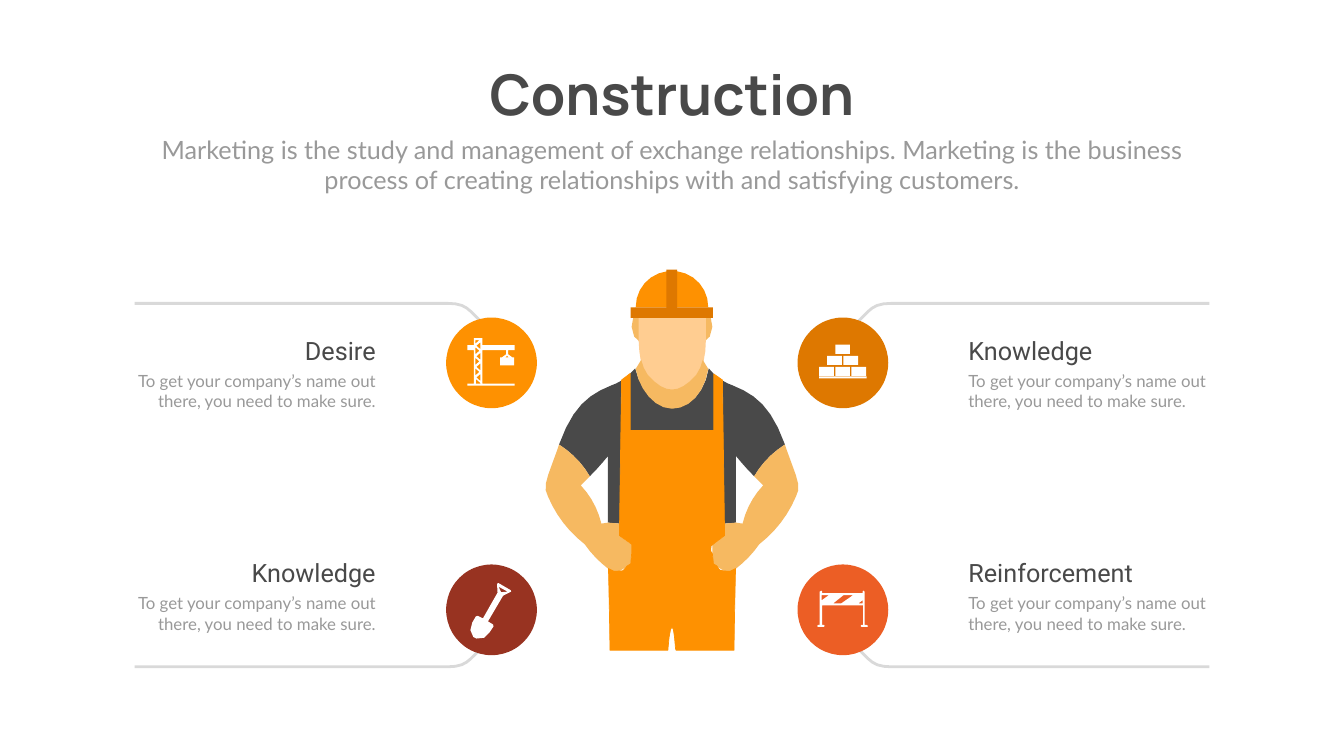
from pptx import Presentation
from pptx.dml.color import RGBColor
from pptx.enum.shapes import MSO_SHAPE
from pptx.enum.text import MSO_ANCHOR, MSO_AUTO_SIZE, PP_ALIGN
from pptx.util import Pt

PX = 9144
WIDTH, HEIGHT = 2666, 1500
RECT, OVAL = MSO_SHAPE.RECTANGLE, MSO_SHAPE.OVAL
LEFT, CENTER, RIGHT = PP_ALIGN.LEFT, PP_ALIGN.CENTER, PP_ALIGN.RIGHT
TOP, MIDDLE = MSO_ANCHOR.TOP, MSO_ANCHOR.MIDDLE
FIT = MSO_AUTO_SIZE.SHAPE_TO_FIT_TEXT
CURVE_STEP = 25 * PX

ORANGE, AMBER, RUST, CORAL = "FE9101", "DE7800", "983321", "EC5E25"
DARK, GRAY, RULE, WHITE = "494949", "999999", "D9D9D9", "FFFFFF"
SKIN, FACE = "F6B961", "FFCD91"
BODY = "To get your company’s name out there, you need to make sure."

HELMET = "M 1406,610 L 1342,610 1342,538 C 1379,543 1405,573 1405,610"
SLEEVE = """M 1460,905 L 1460,1037 1436,1039 1433,755 C 1440,759 1447,763 1454,765
    1499,783 1530,807 1557,882 1532,898 1511,919 1496,945 1475,924 1462,907 1460,905"""
SHIRT = """M 1333,810 C 1367,810 1398,780 1406,731 L 1416,742
    1416,854 1250,854 1250,741 1260,731 C 1269,772 1300,810 1333,810"""
ARM = """M 1473,1039 C 1480,1010 1494,984 1514,963 L 1496,945
    C 1511,919 1532,898 1557,882 L 1561,894 C 1579,945 1591,965 1579,985
    1563,1023 1538,1055 1506,1080 1493,1099 1477,1115 1459,1129
    1453,1135 1444,1136 1437,1133 1430,1135 1424,1130 1422,1124
    1422,1124 1407,1121 1413,1099 1408,1094 1408,1085 1413,1080
    L 1418,1077 1437,1064 C 1444,1058 1444,1056 1437,1058
    L 1437,1039 1460,1037 1473,1039"""
EAR = "M 1410,631 C 1418,644 1410,676 1397,678 L 1397,631"
HEAD = """M 1267,630 L 1400,630 1400,679 C 1400,691 1399,703 1396,715
    1394,726 1390,737 1383,745 1365,766 1349,775 1333,775 1317,775 1302,766 1284,745
    1277,736 1273,726 1271,715 1269,703 1267,691 1267,678"""
NECK = """M 1405,732 C 1397,781 1367,811 1333,811 1299,811 1268,773 1261,732
    L 1272,714 C 1274,725 1279,735 1285,744 1303,764 1318,773 1333,773
    1348,773 1363,764 1381,744 1387,735 1392,725 1394,714 L 1405,732"""
OVERALLS = """M 1250,741 L 1250,854 1416,854 1416,742 1433,754
    1437,1038 1437,1063 1418,1077 C 1411,1079 1407,1087 1410,1094
    L 1413,1098 C 1407,1120 1422,1123 1422,1123
    1424,1130 1430,1134 1437,1133 1444,1135 1453,1134 1459,1128
    L 1457,1221 1456,1290 1341,1290 1340,1287
    C 1338,1260 1336,1244 1333,1244 1330,1244 1327,1260 1325,1287
    L 1325,1290 1210,1290 1209,1221 1207,1128
    C 1213,1134 1222,1135 1229,1133 1229,1133 1242,1135 1244,1123
    1244,1123 1260,1120 1253,1098 1258,1093 1259,1085 1253,1080
    L 1249,1077 1229,1063 1229,1038 1233,754"""
SHOVEL = """M 989,1164 C 988,1168 990,1173 994,1175 999,1178 1004,1177 1007,1174
    M 989,1157 L 1013,1171 1014,1174 C 1010,1180 1004,1183 998,1182
    L 968,1233 978,1239 979,1243
    971,1255 C 966,1265 956,1269 945,1267 L 939,1264
    C 932,1256 931,1245 937,1235 L 944,1223 948,1222
    958,1227 987,1176 C 983,1171 982,1164 986,1158 L 989,1157"""
CRANE = """M 1021,695 L 1021,685 957,685 957,671 940,671 940,685 927,685 927,695
    940,695 940,761 927,761 927,765 1021,765 1021,761
    957,761 957,695 1004,695 1004,703 996,709 992,709 992,725 1020,725 1020,709
    1016,709 1008,703 1008,695
    M 943,675 L 951,675 943,682 M 953,761 L 944,761 944,752 953,760
    M 1009,709 L 1002,709 1006,706 """
BARRIER = """M 1715,1240 L 1715,1174 1713,1172 1711,1174 1711,1177 1631,1177 1631,1174
    1629,1172 1626,1174 1626,1240 1623,1240 1621,1242 1623,1244
    1634,1244 1636,1242 1634,1240 1631,1240 1631,1201 1712,1201 1712,1240 1709,1240
    1707,1242 1709,1244 1720,1244 1722,1242 1719,1240
    M 1653,1197 L 1673,1181 1692,1181 1669,1197 M 1644,1181 L 1630,1191 1630,1181
    M 1703,1197 L 1711,1191 1711,1197"""


def rgb(value):
    """Turn a hex string into a colour."""
    return RGBColor.from_string(value)


def style(sp, fill=None, line=None, weight=1):
    """Set fill and line and drop the shadow."""
    sp.shadow.inherit = False
    if fill:
        sp.fill.solid()
        sp.fill.fore_color.rgb = rgb(fill)
    else:
        sp.fill.background()
    if line:
        sp.line.color.rgb = rgb(line)
        sp.line.width = Pt(weight)
    else:
        sp.line.fill.background()


def bezier(p0, p1, p2, p3):
    """List points along a cubic curve, more of them on a longer one."""
    span = abs(p3[0] - p0[0]) + abs(p3[1] - p0[1])
    steps = min(6, 1 + span // CURVE_STEP)
    ts = [i / steps for i in range(1, steps + 1)]
    return [tuple(round((1 - t) ** 3 * a + 3 * t * (1 - t) ** 2 * b + 3 * t * t * (1 - t) * c + t ** 3 * d)
                  for a, b, c, d in zip(p0, p1, p2, p3)) for t in ts]


def trace(contour, mirror):
    """Turn one contour of L and C commands into EMU points."""
    points, controls, mode = [], [], "L"
    for token in contour.split():
        if token in ("L", "C"):
            mode = token
            continue
        x, y = (int(n) for n in token.split(","))
        point = ((WIDTH - x if mirror else x) * PX, y * PX)
        if mode == "L":
            points.append(point)
            continue
        controls.append(point)
        if len(controls) == 3:
            points += bezier(points[-1], *controls)
            controls = []
    return points


def add_outline(slide, path, fill=None, line=None, weight=1, mirror=False):
    """Draw a path, closed when it is filled."""
    builder = None
    for contour in path.split("M")[1:]:
        start, *rest = trace(contour, mirror)
        if builder is None:
            builder = slide.shapes.build_freeform(*start)
        else:
            builder.move_to(*start)
        builder.add_line_segments(rest, close=bool(fill))
    style(builder.convert_to_shape(), fill, line, weight)


def add_pair(slide, path, fill):
    """Draw a path on both sides of the worker."""
    for mirror in (False, True):
        add_outline(slide, path, fill, mirror=mirror)


def add_preset(slide, kind, x, y, w, h, fill):
    """Add a plain filled preset shape."""
    style(slide.shapes.add_shape(kind, x * PX, y * PX, w * PX, h * PX), fill)


def add_text(slide, text, box, size, font, color, align=LEFT, anchor=TOP, bold=False, wrap=True):
    """Add a text box with one formatted paragraph."""
    tf = slide.shapes.add_textbox(*(n * PX for n in box)).text_frame
    tf.word_wrap, tf.auto_size, tf.vertical_anchor = wrap, FIT, anchor
    tf.text = text
    p = tf.paragraphs[0]
    p.alignment = align
    f = p.runs[0].font
    f.size, f.name, f.bold = Pt(size), font, bold
    f.color.rgb = rgb(color)


def add_leader(slide, outer, inner, edge, dx, dy):
    """Draw a rule that bends toward its circle."""
    steps = [(-85, 0), (-76, 1), (-68, 4), (-61, 7), (-55, 11), (-50, 16)]
    curve = " ".join(f"{inner + a * dx},{edge + b * dy}" for a, b in steps)
    path = f"M {outer},{edge} L {inner - 95 * dx},{edge} C {curve} L {inner},{edge + 66 * dy}"
    add_outline(slide, path, line=RULE, weight=4)


def add_worker(slide):
    """Draw the worker from back to front."""
    add_pair(slide, HELMET, ORANGE)
    add_pair(slide, SLEEVE, DARK)
    add_outline(slide, SHIRT, DARK)
    add_pair(slide, ARM, SKIN)
    add_pair(slide, EAR, SKIN)
    add_outline(slide, HEAD, FACE)
    add_outline(slide, NECK, SKIN)
    add_preset(slide, RECT, 1251, 610, 163, 21, AMBER)
    add_preset(slide, RECT, 1322, 535, 21, 87, AMBER)
    add_outline(slide, OVERALLS, ORANGE, ORANGE)


def rect_path(x, y, w, h):
    """Write a rectangle as a path."""
    return f"M {x},{y} L {x + w},{y} {x + w},{y + h} {x},{y + h} "


def brick_path():
    """Write a pyramid of bricks on a base line."""
    bricks = [rect_path(1657 - 16 * (2 - row) + 32 * col - 16 * 0, 0, 0, 0) for row in () for col in ()]
    bricks += [rect_path(1657 - 16 * row + 32 * col, 684 + 22 * row, 29, 18)
               for row in range(3) for col in range(row + 1)]
    return rect_path(1625, 747, 94, 4) + "".join(bricks)


def crane_path():
    """Write the crane with its lattice openings."""
    left = [f"M 943,{y} L 951,{y + 7} 943,{y + 14} " for y in range(689, 732, 21)]
    right = [f"M 953,{y} L 945,{y + 7} 953,{y + 14} " for y in range(679, 743, 21)]
    return CRANE + "".join(left + right)


def add_topic(slide, title, color, icon, on_left, on_top):
    """Add a leader, circle, icon, heading and body."""
    outer, inner, dx, cx = (267, 984, 1, 885) if on_left else (2399, 1672, -1, 1582)
    edge, dy, cy, y = (602, 1, 630, 660) if on_top else (1323, -1, 1120, 1101)
    align = RIGHT if on_left else LEFT
    add_leader(slide, outer, inner, edge, dx, dy)
    add_preset(slide, OVAL, cx, cy, 180, 180, color)
    add_outline(slide, icon, WHITE)
    for text, w, h, top, size, font, ink in ((BODY, 513, 91, y + 71, 24, "Lato", GRAY),
                                             (title, 399, 71, y, 36, "Roboto", DARK)):
        x = 755 - w if on_left else 1911
        add_text(slide, text, (x, top, w, h), size, font, ink, align)


def main():
    """Build the slide and save it."""
    prs = Presentation()
    prs.slide_width, prs.slide_height = WIDTH * PX, HEIGHT * PX
    slide = prs.slides.add_slide(prs.slide_layouts[6])
    add_text(slide, "Construction", (944, 112, 778, 145), 80, "Manrope", DARK,
             CENTER, MIDDLE, bold=True, wrap=False)
    add_text(slide, "Marketing is the study and management of exchange relationships. "
             "Marketing is the business process of creating relationships with and "
             "satisfying customers.", (292, 261, 2082, 131), 36, "Lato", GRAY, CENTER)
    add_worker(slide)
    add_topic(slide, "Desire", ORANGE, crane_path(), True, True)
    add_topic(slide, "Knowledge", AMBER, brick_path(), False, True)
    add_topic(slide, "Knowledge", RUST, SHOVEL, True, False)
    add_topic(slide, "Reinforcement", CORAL, BARRIER, False, False)
    prs.save("out.pptx")


if __name__ == "__main__":
    main()
